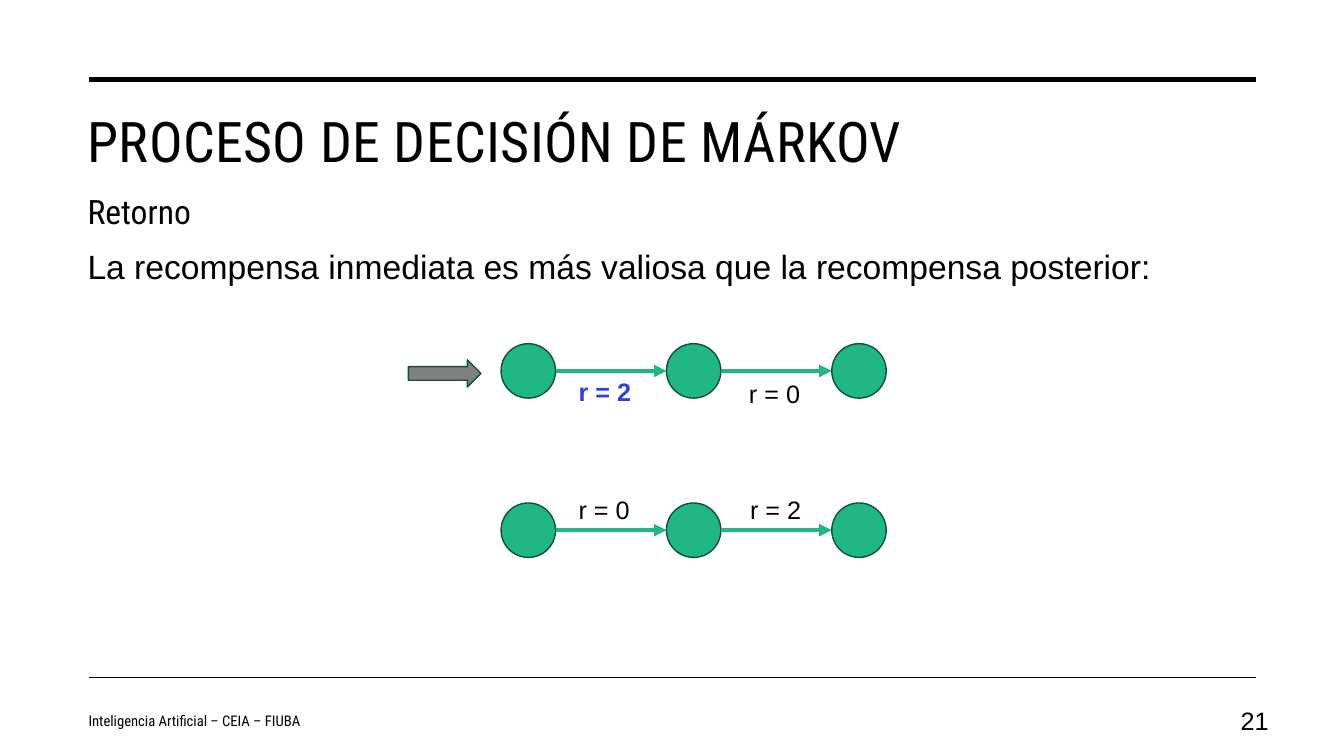
from lxml.etree import SubElement
from pptx import Presentation
from pptx.dml.color import RGBColor
from pptx.enum.shapes import MSO_CONNECTOR as Connector, MSO_SHAPE as Preset
from pptx.enum.text import MSO_ANCHOR as Anchor, PP_ALIGN as Align
from pptx.oxml.ns import qn
from pptx.util import Inches, Pt

COLORS = {
    "black": "000000",
    "state": "21B782",
    "outline": "0E5039",
    "pointer": "808080",
    "highlight": "2E40D9",
}
HEADING_FONT = "Roboto Condensed"
BODY_FONT = "Arial"
STATE_SIZE = 0.54
STATE_STEP = 1.64
CHAIN_LEFT = 4.97
STATE_COUNT = 3


def color(name):
    """Return the named palette color."""
    return RGBColor.from_string(COLORS[name])


def add_text(page, text, left, top, width, height, size, font=BODY_FONT, ink="black",
             bold=False, align=Align.LEFT, anchor=Anchor.TOP, wrap=True,
             line_spacing=None, tracking=None):
    """Add a text box holding one run."""
    box = page.shapes.add_textbox(Inches(left), Inches(top), Inches(width), Inches(height))
    frame = box.text_frame
    frame.word_wrap = wrap
    frame.vertical_anchor = anchor
    para = frame.paragraphs[0]
    para.alignment = align
    if line_spacing:
        para.line_spacing = line_spacing
    span = para.add_run()
    span.text = text
    span.font.name = font
    span.font.size = Pt(size)
    span.font.bold = bold
    span.font.color.rgb = color(ink)
    if tracking:
        span.font._element.set("spc", str(round(tracking * 100)))


def add_line(page, left, right, y, ink, weight, arrow=False):
    """Add a horizontal line, with an arrowhead at its right end if asked."""
    line = page.shapes.add_connector(
        Connector.STRAIGHT, Inches(left), Inches(y), Inches(right), Inches(y))
    line.line.color.rgb = color(ink)
    line.line.width = Pt(weight)
    if arrow:
        SubElement(line.line._get_or_add_ln(), qn("a:tailEnd"), type="triangle")
    SubElement(line._element.spPr, qn("a:effectLst"))


def add_figure(page, preset, left, top, width, height, fill):
    """Add a filled preset shape with the dark green outline."""
    figure = page.shapes.add_shape(
        preset, Inches(left), Inches(top), Inches(width), Inches(height))
    figure.shadow.inherit = False
    figure.fill.solid()
    figure.fill.fore_color.rgb = color(fill)
    figure.line.color.rgb = color("outline")
    figure.line.width = Pt(1)


def add_chain(page, top):
    """Add a row of states joined by arrows."""
    for index in range(STATE_COUNT):
        left = CHAIN_LEFT + index * STATE_STEP
        add_figure(page, Preset.OVAL, left, top, STATE_SIZE, STATE_SIZE, "state")
        if index < STATE_COUNT - 1:
            add_line(page, left + STATE_SIZE, left + STATE_STEP,
                     top + STATE_SIZE / 2, "state", 3, arrow=True)


def add_reward(page, text, left, top, ink="black", bold=False):
    """Add the reward label of one transition."""
    add_text(page, text, left, top, 0.72, 0.4, 18, ink=ink, bold=bold, wrap=False)


def main():
    """Build the slide and save it."""
    deck = Presentation()
    deck.slide_width = Inches(13.33)
    deck.slide_height = Inches(7.5)
    page = deck.slides.add_slide(deck.slide_layouts[6])

    add_line(page, 0.88, 12.46, 0.79, "black", 3.5)
    add_line(page, 0.88, 12.46, 6.72, "black", 1)
    add_text(page, "PROCESO DE DECISIÓN DE MÁRKOV", 0.77, 1.01, 11.69, 0.8, 40,
             font=HEADING_FONT, tracking=0.3)
    add_text(page, "Retorno", 0.77, 1.84, 8.41, 0.5, 24, font=HEADING_FONT)
    add_text(page, "La recompensa inmediata es más valiosa que la recompensa posterior:",
             0.77, 2.35, 11.69, 0.6, 24, line_spacing=1.1)
    add_text(page, "Inteligencia Artificial – CEIA – FIUBA", 0.78, 6.95, 4.96, 0.4, 10.5,
             font=HEADING_FONT, anchor=Anchor.MIDDLE)
    add_text(page, "21", 11.94, 6.95, 0.74, 0.4, 18, align=Align.RIGHT, anchor=Anchor.MIDDLE)

    add_chain(page, 3.41)
    add_chain(page, 4.99)
    add_reward(page, "r = 2", 5.64, 3.68, ink="highlight", bold=True)
    add_reward(page, "r = 0", 7.33, 3.7)
    add_reward(page, "r = 0", 5.64, 4.86)
    add_reward(page, "r = 2", 7.34, 4.86)
    add_figure(page, Preset.RIGHT_ARROW, 4.05, 3.57, 0.72, 0.27, "pointer")

    deck.save("out.pptx")


if __name__ == "__main__":
    main()
